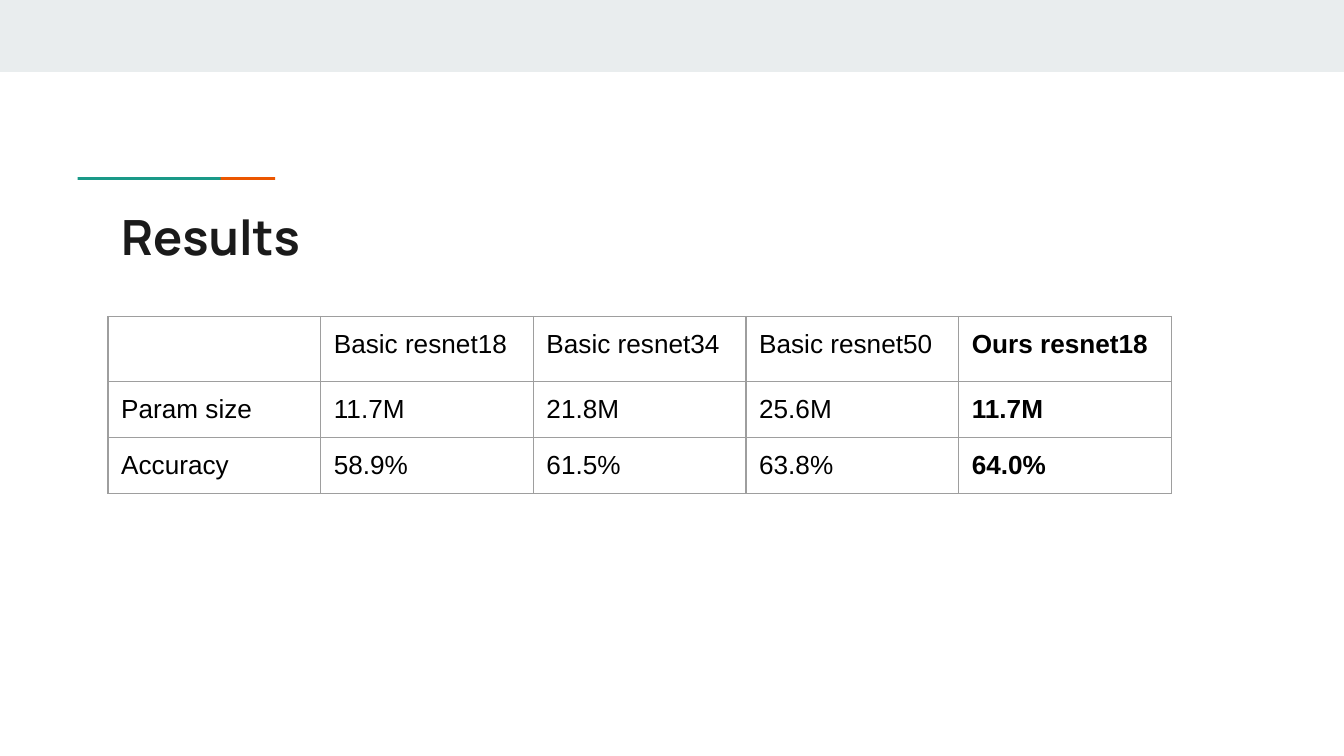
from lxml.etree import SubElement
from pptx import Presentation
from pptx.dml.color import RGBColor
from pptx.enum.shapes import MSO_SHAPE
from pptx.enum.text import MSO_ANCHOR, MSO_AUTO_SIZE, PP_ALIGN
from pptx.oxml.ns import qn
from pptx.util import Cm, Pt

TITLE = "Results"
ROWS = [
    ("", "Basic resnet18", "Basic resnet34", "Basic resnet50", "Ours resnet18"),
    ("Param size", "11.7M", "21.8M", "25.6M", "11.7M"),
    ("Accuracy", "58.9%", "61.5%", "63.8%", "64.0%"),
]
OURS_COLUMN = len(ROWS[0]) - 1

BAND = RGBColor(0xE9, 0xED, 0xEE)
TEAL = RGBColor(0x1A, 0x99, 0x88)
ORANGE = RGBColor(0xEB, 0x56, 0x00)
TITLE_COLOR = RGBColor(0x1A, 0x1A, 0x1A)
TEXT_COLOR = RGBColor(0x00, 0x00, 0x00)
BORDER = RGBColor(0x9E, 0x9E, 0x9E)

# All lengths in centimetres
SLIDE_WIDTH, SLIDE_HEIGHT = 25.4, 14.29
BAND_HEIGHT = 1.36
ACCENT_TOP, ACCENT_WIDTH, ACCENT_HEIGHT = 3.35, 2.7, 0.05
ACCENT_BARS = [(ORANGE, 2.5), (TEAL, 1.47)]  # teal overlaps orange
CONTENT_LEFT = 2.04
TITLE_TOP, TITLE_WIDTH, TITLE_HEIGHT = 3.66, 21.36, 1.5
TABLE_TOP, COLUMN_WIDTH = 5.98, 4.02
ROW_HEIGHTS = [1.23, 1.06, 1.06]
INSET = 0.25
CELL_SIZE = Pt(14)


def add_bar(slide, left, top, width, height, color):
    bar = slide.shapes.add_shape(
        MSO_SHAPE.RECTANGLE, Cm(left), Cm(top), Cm(width), Cm(height))
    bar.shadow.inherit = False
    bar.fill.solid()
    bar.fill.fore_color.rgb = color
    bar.line.fill.background()


def set_insets(target):
    target.margin_left = target.margin_right = Cm(INSET)
    target.margin_top = target.margin_bottom = Cm(INSET)


def format_font(font, name, size, color, bold):
    font.name = name
    font.size = size
    font.color.rgb = color
    font.bold = bold


def add_borders(cell):
    properties = cell._tc.get_or_add_tcPr()
    for side in ("a:lnL", "a:lnR", "a:lnT", "a:lnB"):
        line = SubElement(properties, qn(side), w=str(Pt(0.75)))
        fill = SubElement(line, qn("a:solidFill"))
        SubElement(fill, qn("a:srgbClr"), val=str(BORDER))


def fill_cell(cell, text, bold):
    set_insets(cell)
    add_borders(cell)
    cell.fill.background()
    cell.text = text
    paragraph = cell.text_frame.paragraphs[0]
    for run in paragraph.runs:
        format_font(run.font, "Arial", CELL_SIZE, TEXT_COLOR, bold)
    if not text:  # keeps the empty cell from stretching its row
        SubElement(paragraph._p, qn("a:endParaRPr"),
                   sz=str(CELL_SIZE.centipoints))


def add_title(slide):
    title = slide.shapes.title
    title.left, title.top = Cm(CONTENT_LEFT), Cm(TITLE_TOP)
    title.width, title.height = Cm(TITLE_WIDTH), Cm(TITLE_HEIGHT)
    frame = title.text_frame
    frame.text = TITLE
    frame.word_wrap = True
    frame.auto_size = MSO_AUTO_SIZE.NONE
    frame.vertical_anchor = MSO_ANCHOR.TOP
    set_insets(frame)
    paragraph = frame.paragraphs[0]
    paragraph.alignment = PP_ALIGN.LEFT
    format_font(paragraph.runs[0].font, "Manrope", Pt(26), TITLE_COLOR, True)


def add_results_table(slide):
    columns = len(ROWS[0])
    frame = slide.shapes.add_table(
        len(ROWS), columns, Cm(CONTENT_LEFT), Cm(TABLE_TOP),
        Cm(COLUMN_WIDTH * columns), Cm(sum(ROW_HEIGHTS)))
    table = frame.table
    table.first_row = table.horz_banding = False
    for column in table.columns:
        column.width = Cm(COLUMN_WIDTH)
    for row, height, texts in zip(table.rows, ROW_HEIGHTS, ROWS):
        row.height = Cm(height)
        for index, (cell, text) in enumerate(zip(row.cells, texts)):
            fill_cell(cell, text, bold=index == OURS_COLUMN)


def main():
    presentation = Presentation()
    presentation.slide_width = Cm(SLIDE_WIDTH)
    presentation.slide_height = Cm(SLIDE_HEIGHT)
    slide = presentation.slides.add_slide(presentation.slide_layouts[5])

    add_bar(slide, 0, 0, SLIDE_WIDTH, BAND_HEIGHT, BAND)
    for color, left in ACCENT_BARS:
        add_bar(slide, left, ACCENT_TOP, ACCENT_WIDTH, ACCENT_HEIGHT, color)
    add_title(slide)
    add_results_table(slide)
    presentation.save("out.pptx")


if __name__ == "__main__":
    main()
